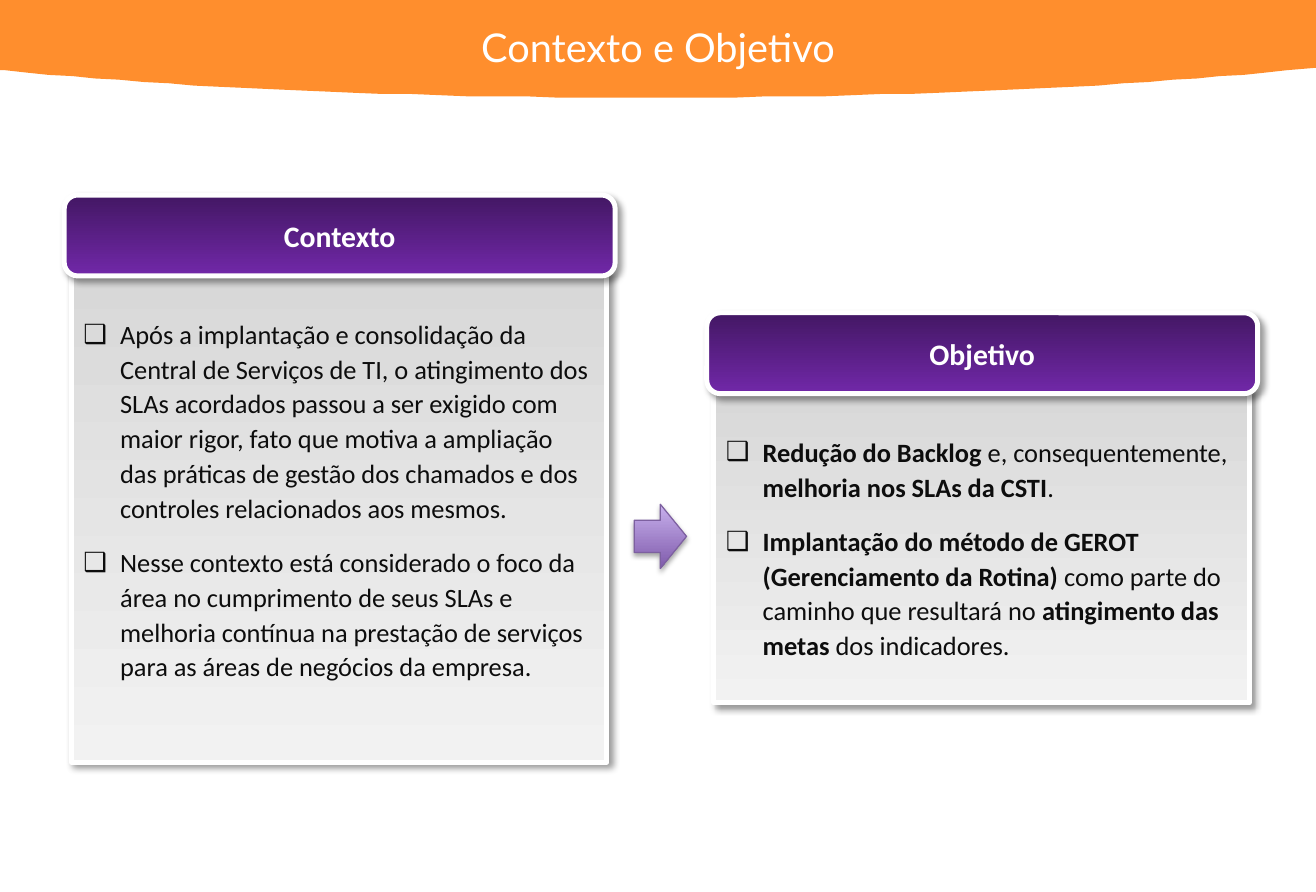
from dataclasses import dataclass

from lxml.etree import SubElement as Sub
from pptx import Presentation
from pptx.dml.color import RGBColor as Rgb
from pptx.enum.shapes import MSO_SHAPE as Kind
from pptx.enum.text import MSO_ANCHOR as Anchor, MSO_AUTO_SIZE as Auto, PP_ALIGN as Align
from pptx.oxml.ns import qn
from pptx.util import Pt

PX = 9144
WIDE, HIGH = 1106, 750


@dataclass(frozen=True)
class Theme:
    """Colours, fonts and type sizes of the slide."""
    band: str = "FF8E2D"
    white: str = "FFFFFF"
    ink: str = "0D0D0D"
    shade: str = "000000"
    edge: str = "7D60A0"
    panel: tuple = ("D8D8D8", "F2F2F2")
    head: tuple = ("431764", "7128A8")
    arrow: tuple = ("C8B0ED", "7F5BAB")
    title: int = 24
    label: int = 18
    body: int = 16
    lead: int = 21
    face: str = "Calibri"
    top: str = "Lato"


THEME = Theme()
SOFT = (40, 4, 3, 45)
DROP = (35, 3.1, 1.8, 90)

CONTEXT = [
    [("Após a implantação e consolidação da Central de Serviços de TI, o atingimento dos "
      "SLAs acordados passou a ser exigido com maior rigor, fato que motiva a ampliação "
      "das práticas de gestão dos chamados e dos controles relacionados aos mesmos.", False)],
    [("Nesse contexto está considerado o foco da área no cumprimento de seus SLAs e "
      "melhoria contínua na prestação de serviços para as áreas de negócios da empresa.", False)],
]
GOALS = [
    [("Redução do Backlog", True), (" e, consequentemente, ", False),
     ("melhoria nos SLAs da CSTI", True), (".", False)],
    [("Implantação do método de GEROT (Gerenciamento da Rotina)", True),
     (" como parte do caminho que resultará no ", False),
     ("atingimento das metas", True), (" dos indicadores.", False)],
]


def place(shape, *box):
    """Move and size a shape in px."""
    shape.left, shape.top, shape.width, shape.height = (n * PX for n in box)


def paint(shape, stops, line, width, shadow):
    """Give a shape a downward gradient, an outline and a shadow."""
    shape.fill.gradient()
    shape.fill.gradient_angle = 270
    for stop, tone in zip(shape.fill.gradient_stops, stops):
        stop.color.rgb = Rgb.from_string(tone)
    shape.line.color.rgb = Rgb.from_string(line)
    shape.line.width = Pt(width)
    shape.shadow.inherit = False
    alpha, blur, dist, angle = shadow
    list_ = shape.element.spPr.find(qn("a:effectLst"))
    outer = Sub(list_, qn("a:outerShdw"), blurRad=str(Pt(blur)), dist=str(Pt(dist)),
                dir=str(angle * 60000), algn="tl", rotWithShape="0")
    tone = Sub(outer, qn("a:srgbClr"), val=THEME.shade)
    Sub(tone, qn("a:alpha"), val=str(alpha * 1000))


def write(para, text, size, tone, face, bold=False):
    """Add one formatted run to a paragraph."""
    run = para.add_run()
    run.text = text
    font = run.font
    font.size, font.name, font.bold = Pt(size), face, bold
    font.color.rgb = Rgb.from_string(tone)


def centre(shape, text, size, face, bold=False):
    """Write one white line in the middle of a shape."""
    frame = shape.text_frame
    frame.word_wrap = True
    frame.auto_size = Auto.NONE
    frame.vertical_anchor = Anchor.MIDDLE
    para = frame.paragraphs[0]
    para.alignment = Align.CENTER
    write(para, text, size, THEME.white, face, bold)


def curve(a, b, c, d, steps=24):
    """Return points along a cubic curve after its start."""
    return [tuple(round((1 - t) ** 3 * p + 3 * t * (1 - t) ** 2 * q
                        + 3 * t * t * (1 - t) * r + t ** 3 * s, 2)
                  for p, q, r, s in zip(a, b, c, d))
            for t in (n / steps for n in range(1, steps + 1))]


def draw_band(slide):
    """Draw the curved band behind the title."""
    right, low, left = (1082, 59), (543, 82), (4, 59)
    dots = [(WIDE, 0), (WIDE, 57), right]
    dots += curve(right, (936, 74), (748, 82), low)
    dots += curve(low, (338, 82), (150, 74), left) + [(0, 59)]
    pen = slide.shapes.build_freeform(0, 0, scale=PX)
    pen.add_line_segments(dots, close=True)
    band = pen.convert_to_shape()
    band.fill.solid()
    band.fill.fore_color.rgb = Rgb.from_string(THEME.band)
    band.line.fill.background()
    band.shadow.inherit = False
    slide.shapes.title.element.addprevious(band.element)


def fill_list(frame, items):
    """Write the bulleted items of a panel."""
    frame.word_wrap = True
    frame.auto_size = Auto.NONE
    frame.vertical_anchor = Anchor.TOP
    frame.margin_top = 37 * PX
    for i, item in enumerate(items):
        para = frame.add_paragraph() if i else frame.paragraphs[0]
        props = para._p.get_or_add_pPr()
        props.set("marL", str(31 * PX))
        props.set("indent", str(-31 * PX))
        Sub(props, qn("a:buFont"), typeface="Arial")
        Sub(props, qn("a:buChar"), char="❑")
        para.alignment = Align.LEFT
        para.line_spacing = Pt(THEME.lead)
        para.space_before = Pt(6 if i else 0)
        para.space_after = Pt(6)
        for text, bold in item:
            write(para, text, THEME.body, THEME.ink, THEME.face, bold)


def add_card(slide, body, name, items, left, top, high):
    """Build a panel with its list and its overlapping header."""
    place(body, left, top, 450, high)
    paint(body, THEME.panel, THEME.white, 3, SOFT)
    fill_list(body.text_frame, items)
    head = slide.shapes.add_shape(Kind.ROUNDED_RECTANGLE, 0, 0, 0, 0)
    place(head, left - 6, top - 64, 463, 68)
    paint(head, THEME.head, THEME.white, 3, SOFT)
    centre(head, name, THEME.label, THEME.face, True)


def main():
    """Build and save the slide."""
    deck = Presentation()
    deck.slide_width, deck.slide_height = WIDE * PX, HIGH * PX
    slide = deck.slides.add_slide(deck.slide_layouts[3])
    title, left, right = slide.placeholders
    draw_band(slide)
    place(title, 94, 14, 918, 50)
    centre(title, "Contexto e Objetivo", THEME.title, THEME.top)
    add_card(slide, left, "Contexto", CONTEXT, 60, 228, 413)
    add_card(slide, right, "Objetivo", GOALS, 600, 327, 264)
    arrow = slide.shapes.add_shape(Kind.RIGHT_ARROW, 0, 0, 0, 0)
    place(arrow, 533, 424, 44, 54)
    paint(arrow, THEME.arrow, THEME.edge, 0.75, DROP)
    deck.save("out.pptx")


if __name__ == "__main__":
    main()
